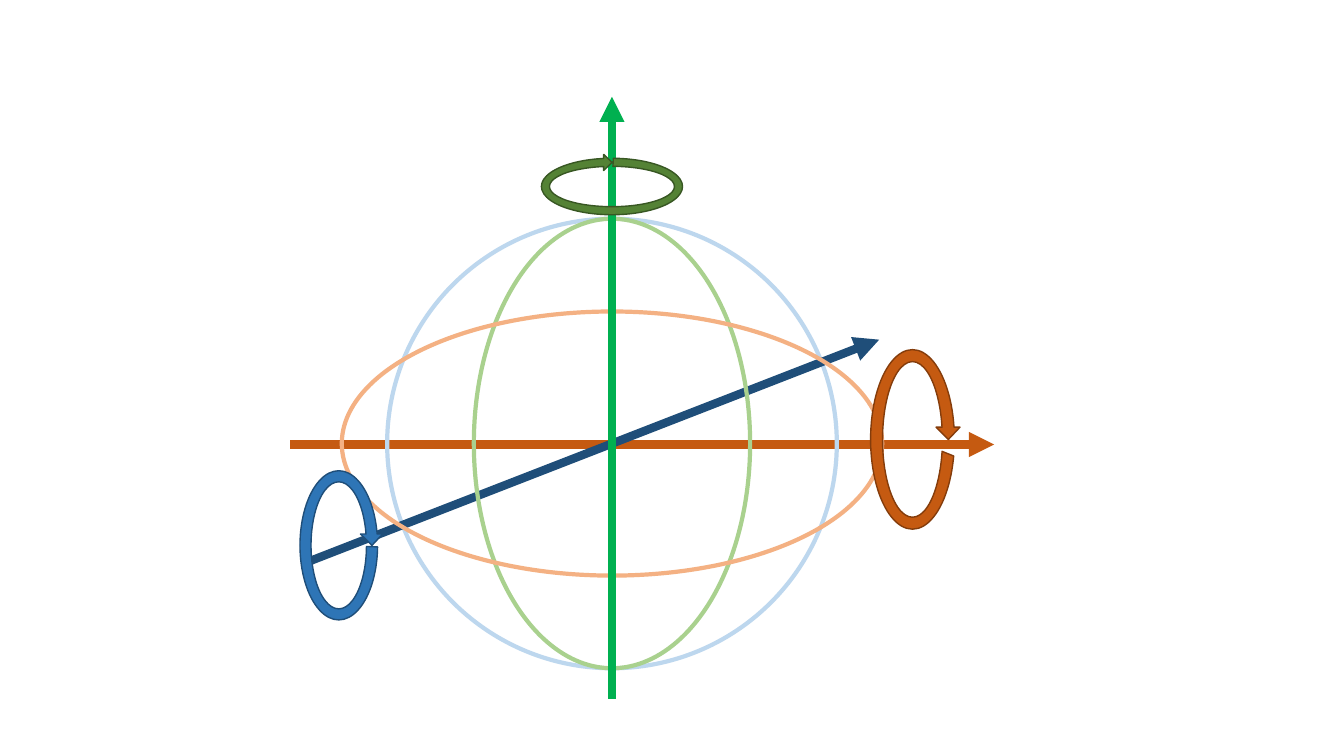
from lxml.etree import SubElement
from pptx import Presentation
from pptx.dml.color import RGBColor
from pptx.enum.shapes import MSO_CONNECTOR, MSO_SHAPE
from pptx.oxml.ns import qn
from pptx.util import Inches, Pt

ORANGE = RGBColor(0xC5, 0x5A, 0x11)
DARK_ORANGE = RGBColor(0x84, 0x3C, 0x0B)
LIGHT_ORANGE = RGBColor(0xF4, 0xB1, 0x83)
BLUE = RGBColor(0x2E, 0x75, 0xB6)
DARK_BLUE = RGBColor(0x1F, 0x4E, 0x79)
LIGHT_BLUE = RGBColor(0xBD, 0xD7, 0xEE)
GREEN = RGBColor(0x54, 0x82, 0x35)
DARK_GREEN = RGBColor(0x38, 0x57, 0x23)
LIGHT_GREEN = RGBColor(0xA9, 0xD1, 0x8E)
BRIGHT_GREEN = RGBColor(0x00, 0xB0, 0x50)

SPHERE_CENTER = (6.07, 4.4)
SPHERE_DIAMETER = 4.46

# Axes: start, end, colour
X_AXIS = ((2.88, 4.41), (9.86, 4.41), ORANGE)
Y_AXIS = ((6.07, 6.93), (6.07, 0.96), BRIGHT_GREEN)
Z_AXIS = ((3.09, 5.56), (8.72, 3.37), DARK_BLUE)

# Sphere outlines: width, height, colour
OUTLINE = (SPHERE_DIAMETER, SPHERE_DIAMETER, LIGHT_BLUE)
MERIDIAN = (2.74, SPHERE_DIAMETER, LIGHT_GREEN)
EQUATOR = (5.36, 2.62, LIGHT_ORANGE)

# Turning arrows: center, width, height, rotation, tail angle, fill, line
TURNS = [
    ((3.36, 5.41), 0.88, 1.59, 0, 1.44, BLUE, DARK_BLUE),
    ((6.07, 1.85), 0.64, 1.48, 270, 1.66, GREEN, DARK_GREEN),
    ((9.05, 4.36), 0.95, 1.9, 0, 13.16, ORANGE, DARK_ORANGE),
]
ARROW_THICKNESS = 0.125
HEAD_ANGLE = 11.42
END_ANGLE = 204.58


def add_axis(slide, start, end, color):
    points = [Inches(value) for value in (*start, *end)]
    axis = slide.shapes.add_connector(MSO_CONNECTOR.STRAIGHT, *points)
    axis.line.color.rgb = color
    axis.line.width = Pt(6)
    SubElement(axis.line._get_or_add_ln(), qn("a:tailEnd"), type="triangle")
    SubElement(axis._element.spPr, qn("a:effectLst"))


def add_centered(slide, kind, center, width, height, line_color, line_width):
    left, top = center[0] - width / 2, center[1] - height / 2
    shape = slide.shapes.add_shape(
        kind, Inches(left), Inches(top), Inches(width), Inches(height))
    shape.shadow.inherit = False
    shape.line.color.rgb = line_color
    shape.line.width = Pt(line_width)
    return shape


def add_ring(slide, width, height, color):
    ring = add_centered(
        slide, MSO_SHAPE.OVAL, SPHERE_CENTER, width, height, color, 3)
    ring.fill.background()


def add_turn(slide, center, width, height, rotation, tail_angle, fill, line):
    turn = add_centered(
        slide, MSO_SHAPE.CIRCULAR_ARROW, center, width, height, line, 1)
    turn.rotation = rotation
    turn.fill.solid()
    turn.fill.fore_color.rgb = fill
    settings = (ARROW_THICKNESS, HEAD_ANGLE, END_ANGLE, tail_angle, ARROW_THICKNESS)
    for index, value in enumerate(settings):
        turn.adjustments[index] = value


def main():
    presentation = Presentation()
    presentation.slide_width = Inches(13.33)
    presentation.slide_height = Inches(7.5)
    slide = presentation.slides.add_slide(presentation.slide_layouts[6])

    add_axis(slide, *X_AXIS)
    add_ring(slide, *OUTLINE)
    add_axis(slide, *Z_AXIS)
    add_ring(slide, *MERIDIAN)
    add_ring(slide, *EQUATOR)
    add_axis(slide, *Y_AXIS)
    for turn in TURNS:
        add_turn(slide, *turn)

    presentation.save("out.pptx")


if __name__ == "__main__":
    main()
